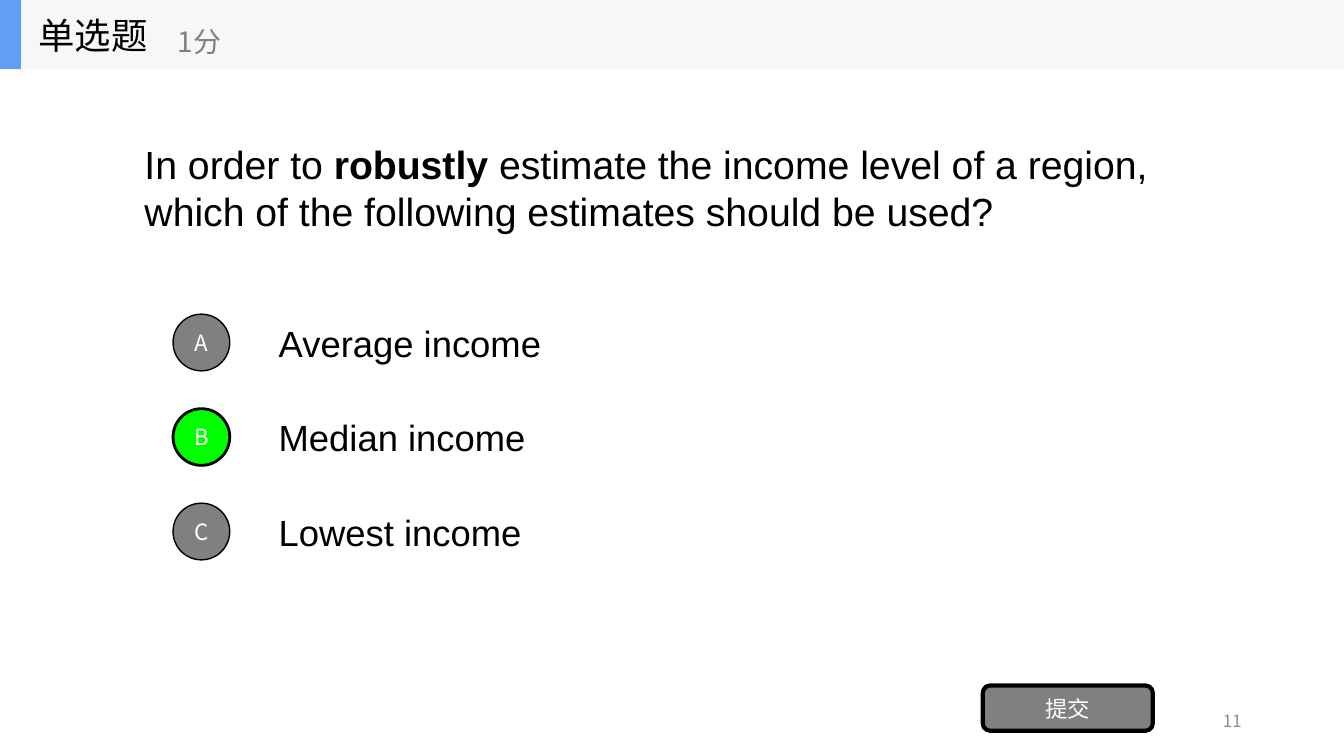
from dataclasses import dataclass

from lxml import etree
from pptx import Presentation
from pptx.dml.color import RGBColor
from pptx.enum.shapes import MSO_SHAPE
from pptx.enum.text import MSO_ANCHOR, MSO_AUTO_SIZE, PP_ALIGN
from pptx.oxml.ns import qn
from pptx.util import Inches, Pt

RECT, ROUND, OVAL = MSO_SHAPE.RECTANGLE, MSO_SHAPE.ROUNDED_RECTANGLE, MSO_SHAPE.OVAL
LEFT, MID, RIGHT = PP_ALIGN.LEFT, PP_ALIGN.CENTER, PP_ALIGN.RIGHT
SANS, CJK = "Arial", "Noto Sans CJK SC"
BLACK, WHITE, GRAY, GREEN = "000000", "FFFFFF", "808080", "00FF00"

WIDE, HIGH = Inches(13.333), Inches(7.5)
COLS, ROWS = 160, 90
HEAD = 8.25
FIRST, STEP = 36.6, 11.25


@dataclass
class Box:
    """A place on the slide, in grid columns and rows."""
    x: float
    y: float
    w: float
    h: float

    def spot(self) -> tuple[int, int, int, int]:
        col, row = WIDE / COLS, HIGH / ROWS
        return (round(self.x * col), round(self.y * row),
                round(self.w * col), round(self.h * row))


@dataclass
class Choice:
    mark: str
    text: str
    fill: str = GRAY
    edge: float = 1


CHOICES = [
    Choice("A", "Average income"),
    Choice("B", "Median income", GREEN, 2),
    Choice("C", "Lowest income"),
]


def color(code: str) -> RGBColor:
    return RGBColor.from_string(code)


def write(shape, text: str, *, size: float, font: str = CJK, ink: str = BLACK,
          align=LEFT, wrap: bool = True, bold: str = "") -> None:
    """Fill a shape with text, one paragraph per line; set the phrase in bold."""
    frame = shape.text_frame
    frame.auto_size = MSO_AUTO_SIZE.NONE
    frame.word_wrap = wrap
    frame.vertical_anchor = MSO_ANCHOR.MIDDLE
    for num, line in enumerate(text.split("\n")):
        para = frame.paragraphs[0] if num == 0 else frame.add_paragraph()
        para.alignment = align
        pre, hit, post = line.partition(bold) if bold else (line, "", "")
        for part in filter(None, (pre, hit, post)):
            run = para.add_run()
            run.text = part
            run.font.size = Pt(size)
            run.font.bold = part == bold
            run.font.name = font
            run.font.color.rgb = color(ink)
            east = etree.SubElement(run.font._element, qn("a:ea"))
            east.set("typeface", font)


def label(slide, box: Box, text: str, **style) -> None:
    write(slide.shapes.add_textbox(*box.spot()), text, **style)


def draw(slide, kind, box: Box, fill: str, edge: float = 0, text: str = "") -> None:
    shape = slide.shapes.add_shape(kind, *box.spot())
    shape.shadow.inherit = False
    shape.fill.solid()
    shape.fill.fore_color.rgb = color(fill)
    if edge:
        shape.line.color.rgb = color(BLACK)
        shape.line.width = Pt(edge)
    else:
        shape.line.fill.background()
    if text:
        frame = shape.text_frame
        frame.margin_left = frame.margin_right = 0
        frame.margin_top = frame.margin_bottom = 0
        write(shape, text, size=16, ink=WHITE, align=MID)


def main() -> None:
    deck = Presentation()
    deck.slide_width, deck.slide_height = WIDE, HIGH
    slide = deck.slides.add_slide(deck.slide_layouts[5])

    title = slide.shapes.title
    title.left, title.top, title.width, title.height = Box(16, HEAD, 128, 28.1).spot()
    write(title, "In order to robustly estimate the income level of a region,\n"
          "which of the following estimates should be used?",
          size=28, font=SANS, bold="robustly")

    for num, item in enumerate(CHOICES):
        top = FIRST + num * STEP
        label(slide, Box(32, top, 112, 8.4), item.text, size=26, font=SANS)
        draw(slide, OVAL, Box(20.6, top + 0.8, 6.75, 6.75), item.fill, item.edge, item.mark)
    draw(slide, ROUND, Box(117, 81.6, 20.25, 5.4), GRAY, 3, "提交")

    draw(slide, RECT, Box(0, 0, COLS, HEAD), "F6F7F8")
    draw(slide, RECT, Box(0, 0, 2.5, HEAD), "639EF4")
    label(slide, Box(3.4, 0, 25, HEAD), "单选题", size=26, wrap=False)
    label(slide, Box(20, 1.5, 30, 6.75), "1分", size=20, ink=GRAY, wrap=False)
    label(slide, Box(113, 83.4, 36, 4.8), "11", size=12, ink="8C8C8C", align=RIGHT)

    deck.save("out.pptx")


if __name__ == "__main__":
    main()
